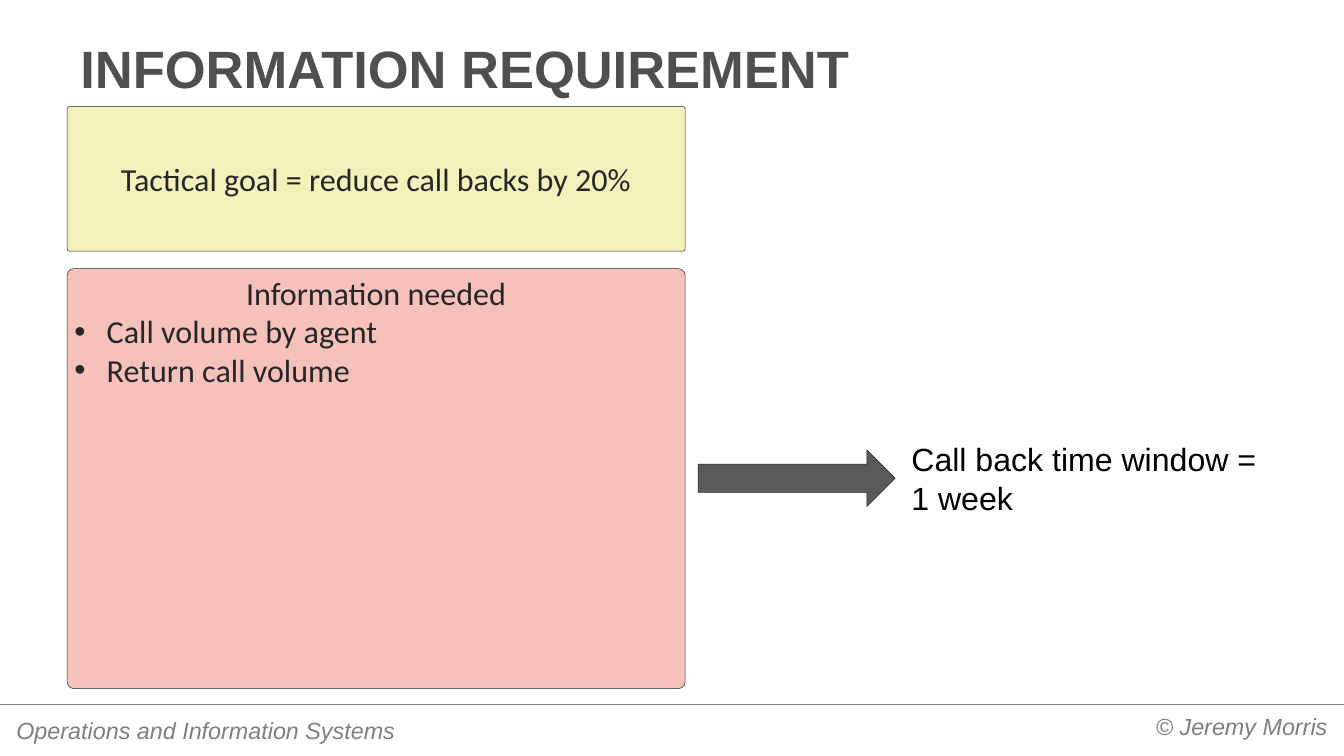
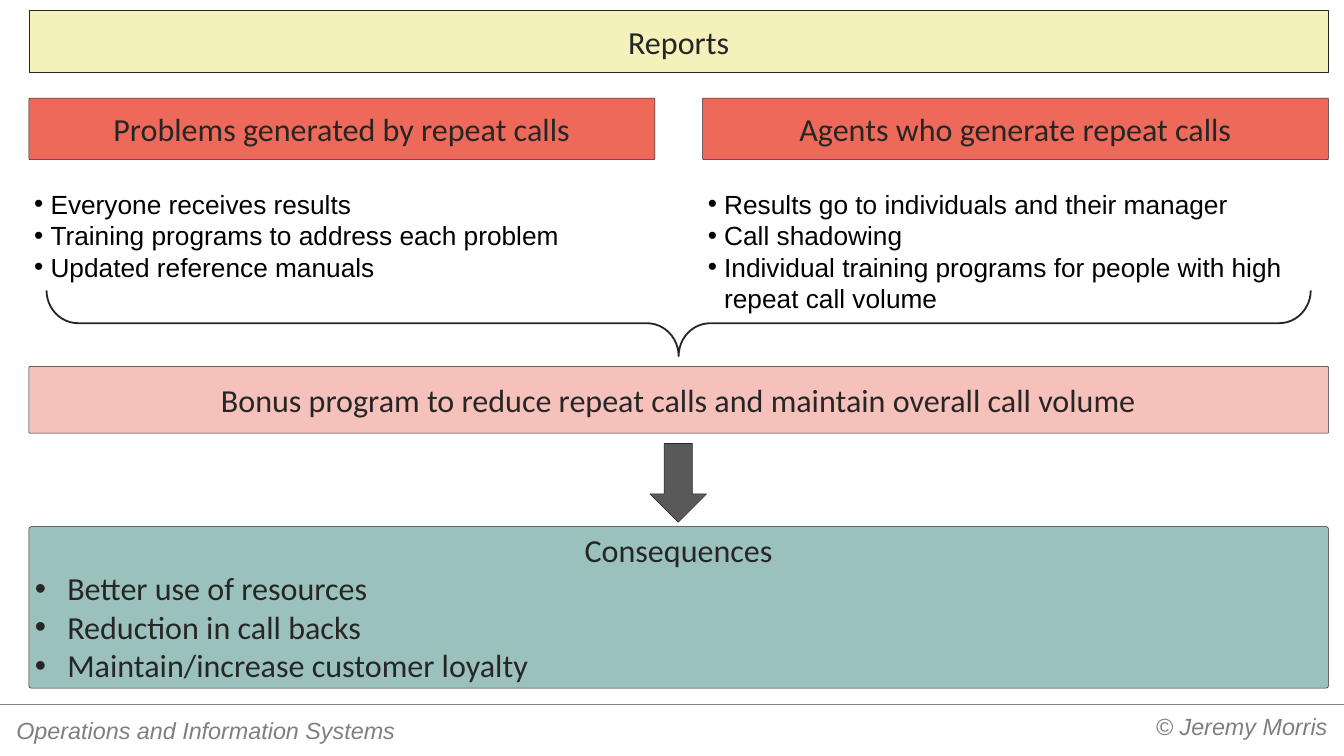
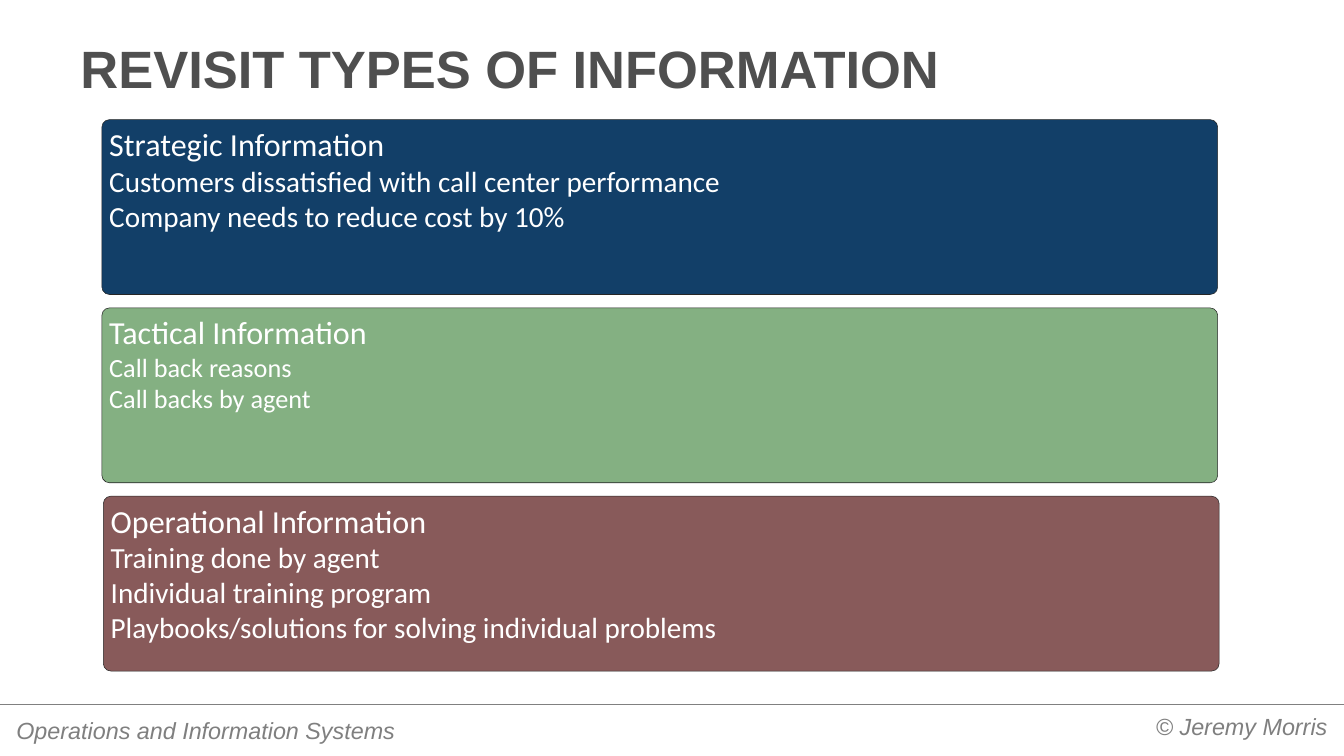
"""Build three slides on the information needed to reduce call backs."""
from lxml.etree import SubElement
from pptx import Presentation
from pptx.dml.color import RGBColor
from pptx.enum.shapes import MSO_CONNECTOR, MSO_SHAPE
from pptx.enum.text import MSO_ANCHOR, MSO_AUTO_SIZE, PP_ALIGN
from pptx.oxml.ns import qn
from pptx.util import Cm, Pt

INK, WHITE, BLACK = "262626", "FFFFFF", "000000"
YELLOW, RED, PINK, TEAL = "F4F1BB", "ED6A5A", "F7C1BB", "9BC1BC"
NAVY, GREEN, BROWN = "123F68", "84B082", "885A5A"
ARROW_GRAY, TITLE_GRAY, FOOTER_GRAY, RULE_GRAY = "595959", "4F4F4F", "7F7F7F", "808080"

BOX_FONT = {"name": "Calibri", "size": Pt(44)}
NOTE_FONT = {"name": "Arial", "size": Pt(44)}
LIST_FONT = {"name": "Arial", "size": Pt(36)}
TITLE_FONT = {"name": "Arial", "size": Pt(72), "bold": True}
FOOTER_FONT = {"name": "Arial", "size": Pt(32), "italic": True}


def draw(page, kind, area, fill=None, line_width=0.75, corner=None):
    """Add an outlined shape at left, top, width, height in centimetres."""
    shape = page.shapes.add_shape(kind, *map(Cm, area))
    shape.shadow.inherit = False
    if fill:
        shape.fill.solid()
        shape.fill.fore_color.rgb = RGBColor.from_string(fill)
    else:
        shape.fill.background()
    shape.line.color.rgb = RGBColor.from_string(INK)
    shape.line.width = Pt(line_width)
    if corner is not None:
        shape.adjustments[0] = corner
    return shape


def write(shape, lines, look, color, align=PP_ALIGN.LEFT, anchor=MSO_ANCHOR.TOP, indent=0):
    """Append paragraphs to a shape, bulleted when an indent is given."""
    frame = shape.text_frame
    frame.word_wrap = True
    frame.auto_size = MSO_AUTO_SIZE.NONE
    frame.vertical_anchor = anchor
    for text in lines:
        para = frame.add_paragraph() if frame.text else frame.paragraphs[0]
        if indent:
            properties = para._p.get_or_add_pPr()
            properties.set("marL", str(Cm(indent)))
            properties.set("indent", str(-Cm(indent)))
            SubElement(properties, qn("a:buFont"), typeface="Arial")
            SubElement(properties, qn("a:buChar"), char="•")
        para.alignment = align
        para.space_before = Pt(0)
        span = para.add_run()
        span.text = text
        for attribute, value in look.items():
            setattr(span.font, attribute, value)
        span.font.color.rgb = RGBColor.from_string(color)


deck = Presentation()
deck.slide_width, deck.slide_height = Cm(65.02), Cm(36.58)
title_only, two_content = deck.slide_layouts[5], deck.slide_layouts[3]
requirement, reports, types = [
    deck.slides.add_slide(layout) for layout in (title_only, two_content, title_only)
]

footers = [
    ("© Jeremy Morris", (37.03, 34.24, 27.66, 3.2), PP_ALIGN.RIGHT),
    ("Operations and Information Systems", (0.33, 34.44, 22.23, 1.83), PP_ALIGN.LEFT),
]
for page in deck.slides:
    rule = page.shapes.add_connector(
        MSO_CONNECTOR.STRAIGHT, 0, Cm(34.06), deck.slide_width, Cm(34.06)
    )
    rule.line.color.rgb = RGBColor.from_string(RULE_GRAY)
    rule.line.width = Pt(0.75)
    SubElement(rule._element.spPr, qn("a:effectLst"))
    for text, area, align in footers:
        footer = page.shapes.add_textbox(*map(Cm, area))
        frame = footer.text_frame
        frame.margin_left = frame.margin_right = Cm(0.46)
        frame.margin_top = frame.margin_bottom = Cm(0.23)
        write(footer, [text], FOOTER_FONT, FOOTER_GRAY, align)

titles = [(requirement, "INFORMATION REQUIREMENT"), (types, "REVISIT TYPES OF INFORMATION")]
for page, text in titles:
    title = page.shapes.title
    title.left, title.top, title.width, title.height = map(Cm, (3.25, 1.35, 58.52, 3.78))
    frame = title.text_frame
    frame.margin_left = frame.margin_right = Cm(0.64)
    frame.margin_top = frame.margin_bottom = Cm(0.32)
    write(title, [text], TITLE_FONT, TITLE_GRAY, anchor=MSO_ANCHOR.BOTTOM)

needed = draw(requirement, MSO_SHAPE.ROUNDED_RECTANGLE, (3.25, 13, 29.9, 20.32), PINK, corner=0.016)
write(needed, ["Information needed"], BOX_FONT, INK, PP_ALIGN.CENTER)
write(needed, ["Call volume by agent", "Return call volume"], BOX_FONT, INK, indent=1.57)
goal = draw(requirement, MSO_SHAPE.ROUNDED_RECTANGLE, (3.25, 5.16, 29.9, 6.99), YELLOW, corner=0.016)
write(goal, ["Tactical goal = reduce call backs by 20%"], BOX_FONT, INK,
      PP_ALIGN.CENTER, MSO_ANCHOR.MIDDLE)
window = requirement.shapes.add_textbox(Cm(43.84), Cm(21.16), Cm(17.98), Cm(4.01))
write(window, ["Call back time window = 1 week"], NOTE_FONT, BLACK)
draw(requirement, MSO_SHAPE.RIGHT_ARROW, (33.78, 21.77, 9.53, 2.74), ARROW_GRAY)

left, full_width, column_width = 1.4, 62.87, 30.28
right_column = left + full_width - column_width
heading = reports.shapes.title
heading.left, heading.top, heading.width, heading.height = map(Cm, (left, 0.51, full_width, 2.97))
heading.fill.solid()
heading.fill.fore_color.rgb = RGBColor.from_string(YELLOW)
heading.line.color.rgb = RGBColor.from_string(INK)
heading.line.width = Pt(0.75)
write(heading, ["Reports"], BOX_FONT, INK, PP_ALIGN.CENTER, MSO_ANCHOR.MIDDLE)

bands = [
    ("Problems generated by repeat calls", (left, 4.75, column_width, 2.97), RED),
    ("Agents who generate repeat calls", (right_column, 4.75, column_width, 2.97), RED),
    ("Bonus program to reduce repeat calls and maintain overall call volume",
     (left, 17.73, full_width, 3.23), PINK),
]
for text, area, fill in bands:
    band = draw(reports, MSO_SHAPE.ROUNDED_RECTANGLE, area, fill, corner=0.016)
    write(band, [text], BOX_FONT, INK, PP_ALIGN.CENTER, MSO_ANCHOR.MIDDLE)

columns = [
    (1, left, 4.88, ["Everyone receives results", "Training programs to address each problem",
                     "Updated reference manuals"]),
    (2, right_column, 6.4, ["Results go to individuals and their manager", "Call shadowing",
                            "Individual training programs for people with high repeat call volume"]),
]
for index, column_left, height, lines in columns:
    body = reports.placeholders[index]
    body.left, body.top, body.width, body.height = map(Cm, (column_left, 8.97, column_width, height))
    write(body, lines, LIST_FONT, BLACK, indent=0.79)

consequences = draw(reports, MSO_SHAPE.ROUNDED_RECTANGLE, (left, 25.48, full_width, 7.82), TEAL,
                    corner=0.016)
write(consequences, ["Consequences"], BOX_FONT, INK, PP_ALIGN.CENTER)
write(consequences, ["Better use of resources", "Reduction in call backs",
                     "Maintain/increase customer loyalty"],
      BOX_FONT, INK, anchor=MSO_ANCHOR.MIDDLE, indent=1.57)
brace = draw(reports, MSO_SHAPE.RIGHT_BRACE, (31.24, -14.94, 3.18, 61.16), line_width=2.5, corner=0.483)
brace.rotation = 90
draw(reports, MSO_SHAPE.DOWN_ARROW, (31.44, 21.46, 2.74, 3.81), ARROW_GRAY)

levels = [
    ("Strategic Information", 4.93, NAVY, 40,
     ["Customers dissatisfied with call center performance", "Company needs to reduce cost by 10%"]),
    ("Tactical Information", 4.93, GREEN, 36, ["Call back reasons", "Call backs by agent"]),
    ("Operational Information", 5, BROWN, 40,
     ["Training done by agent", "Individual training program",
      "Playbooks/solutions for solving individual problems"]),
]
for row, (name, level_left, fill, size, lines) in enumerate(levels):
    area = (level_left, 5.79 + row * 9.11, 53.98, 8.46)
    level = draw(types, MSO_SHAPE.ROUNDED_RECTANGLE, area, fill, corner=0.043)
    write(level, [name], BOX_FONT, WHITE)
    write(level, lines, BOX_FONT | {"size": Pt(size)}, WHITE)

deck.save("out.pptx")
